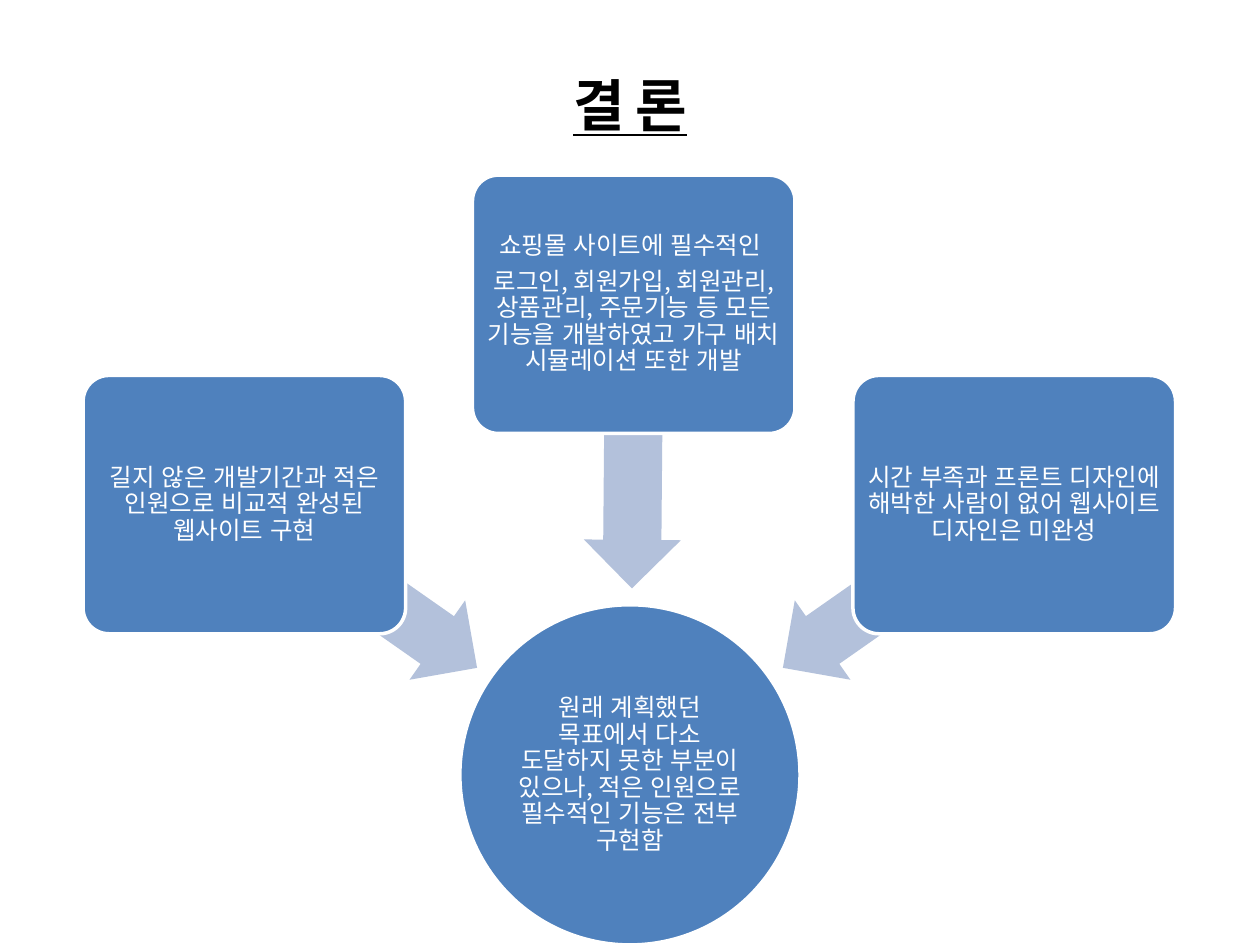
"""Build the conclusion slide: three findings pointing to one result."""
from lxml.etree import SubElement
from pptx import Presentation
from pptx.dml.color import RGBColor
from pptx.enum.lang import MSO_LANGUAGE_ID as Language
from pptx.enum.shapes import MSO_SHAPE as Shape
from pptx.enum.text import MSO_ANCHOR as Anchor, MSO_AUTO_SIZE as AutoSize, PP_ALIGN as Align
from pptx.oxml.ns import qn
from pptx.util import Inches, Pt

COLORS = {"title": "000000", "node": "4F81BD", "arrow": "B3C1DB", "white": "FFFFFF"}
FONT = "Noto Sans CJK KR"
BOX_WIDTH, BOX_HEIGHT = 2.56, 2.05
ARROW_WIDTH, ARROW_HEIGHT = 2.25, 0.77
CIRCLE_SIZE = 2.7


def format_text(shape, size, color, margins, anchor):
    frame = shape.text_frame
    frame.word_wrap = True
    frame.auto_size = AutoSize.NONE
    frame.vertical_anchor = anchor
    frame.margin_left, frame.margin_top, frame.margin_right, frame.margin_bottom = map(Inches, margins)
    for paragraph in frame.paragraphs:
        paragraph.alignment = Align.CENTER
        for run in paragraph.runs:
            run.font.size = Pt(size)
            run.font.name = FONT
            run.font.language_id = Language.KOREAN
            run.font.color.rgb = RGBColor.from_string(COLORS[color])
            SubElement(run.font._element, qn("a:ea"), typeface=FONT)


def add_block(kind, left, top, width, height, color, text="", margin=0):
    shape = slide.shapes.add_shape(kind, Inches(left), Inches(top), Inches(width), Inches(height))
    shape.shadow.inherit = False
    shape.fill.solid()
    shape.fill.fore_color.rgb = RGBColor.from_string(COLORS[color])
    if not text:
        shape.line.fill.background()
        return shape
    shape.line.color.rgb = RGBColor.from_string(COLORS["white"])
    shape.line.width = Pt(2)
    shape.text_frame.text = text
    format_text(shape, 14, "white", [margin] * 4, Anchor.MIDDLE)
    for paragraph in shape.text_frame.paragraphs:
        paragraph.line_spacing = 0.9
        paragraph.space_after = Pt(5)
    return shape


presentation = Presentation()
presentation.slide_width, presentation.slide_height = Inches(10), Inches(7.5)
slide = presentation.slides.add_slide(presentation.slide_layouts[5])

title = slide.shapes.title
title.left, title.top = 0, 0
title.width, title.height = presentation.slide_width, Inches(1.55)
title.text_frame.text = "결론"
format_text(title, 32, "title", (0.1, 0.56, 0.1, 0.05), Anchor.TOP)
title_font = title.text_frame.paragraphs[0].runs[0].font
title_font.bold = True
title_font.underline = True
title_font._element.set("spc", "600")

add_block(Shape.OVAL, (10 - CIRCLE_SIZE) / 2, 7.5 - CIRCLE_SIZE, CIRCLE_SIZE, CIRCLE_SIZE, "node",
          "원래 계획했던 목표에서 다소 도달하지 못한 부분이 있으나, 적은 인원으로 필수적인 기능은 전부 구현함", 0.01)

findings = [
    (0.66, 2.98, 1.74, 4.27, 215, "길지 않은 개발기간과 적은 인원으로 비교적 완성된 웹사이트 구현"),
    (3.75, 1.39, 3.9, 3.16, 270.5,
     "쇼핑몰 사이트에 필수적인 \n로그인, 회원가입, 회원관리, 상품관리, 주문기능 등 모든 기능을 개발하였고 가구 배치 시뮬레이션 또한 개발"),
    (6.77, 2.98, 6.01, 4.27, 325, "시간 부족과 프론트 디자인에 해박한 사람이 없어 웹사이트 디자인은 미완성"),
]
for box_left, box_top, arrow_left, arrow_top, angle, text in findings:
    arrow = add_block(Shape.LEFT_ARROW, arrow_left, arrow_top, ARROW_WIDTH, ARROW_HEIGHT, "arrow")
    arrow.adjustments[0], arrow.adjustments[1] = 0.6, 0.5
    arrow.rotation = angle
    box = add_block(Shape.ROUNDED_RECTANGLE, box_left, box_top, BOX_WIDTH, BOX_HEIGHT, "node", text, 0.03)
    box.adjustments[0] = 0.1

presentation.save("out.pptx")
